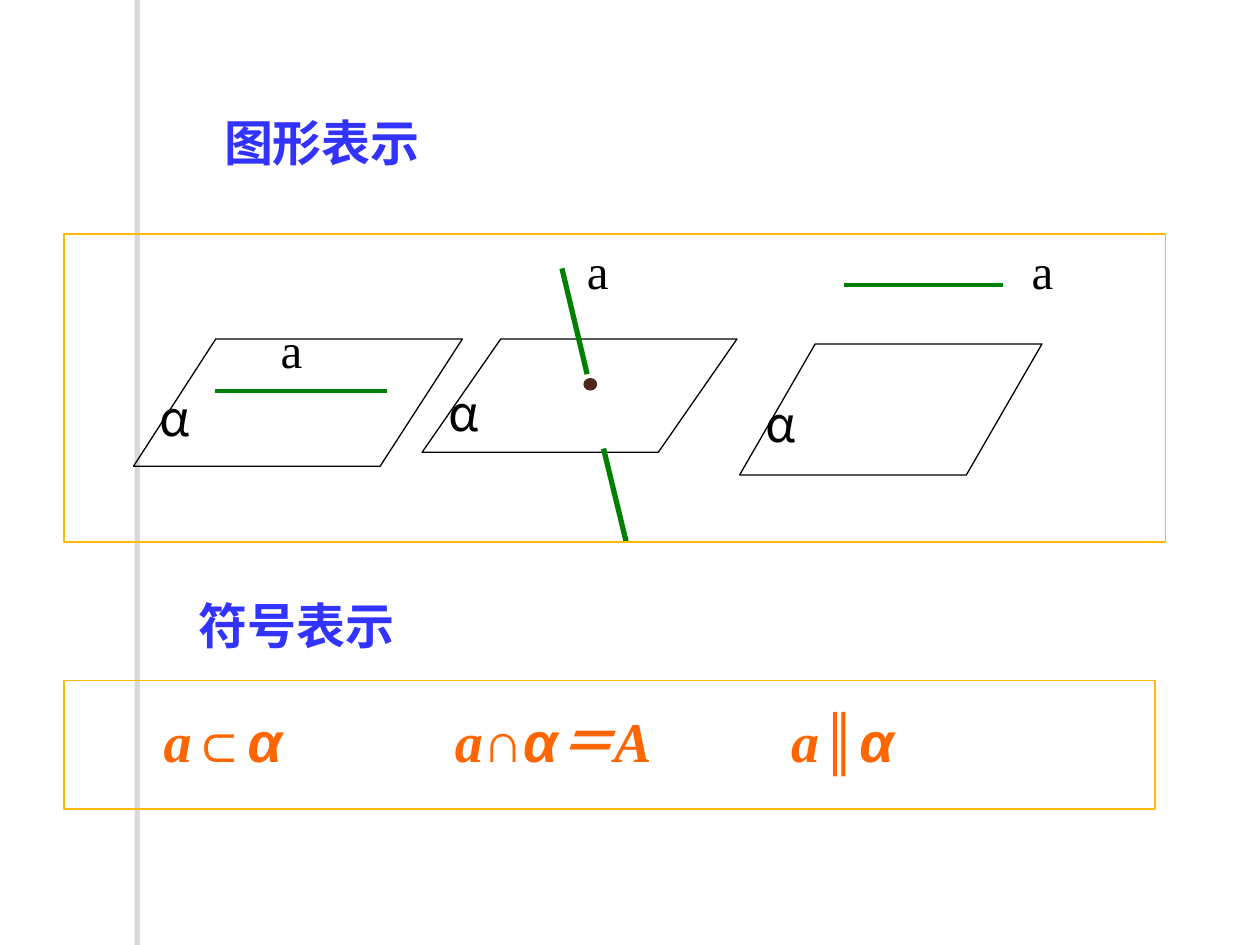
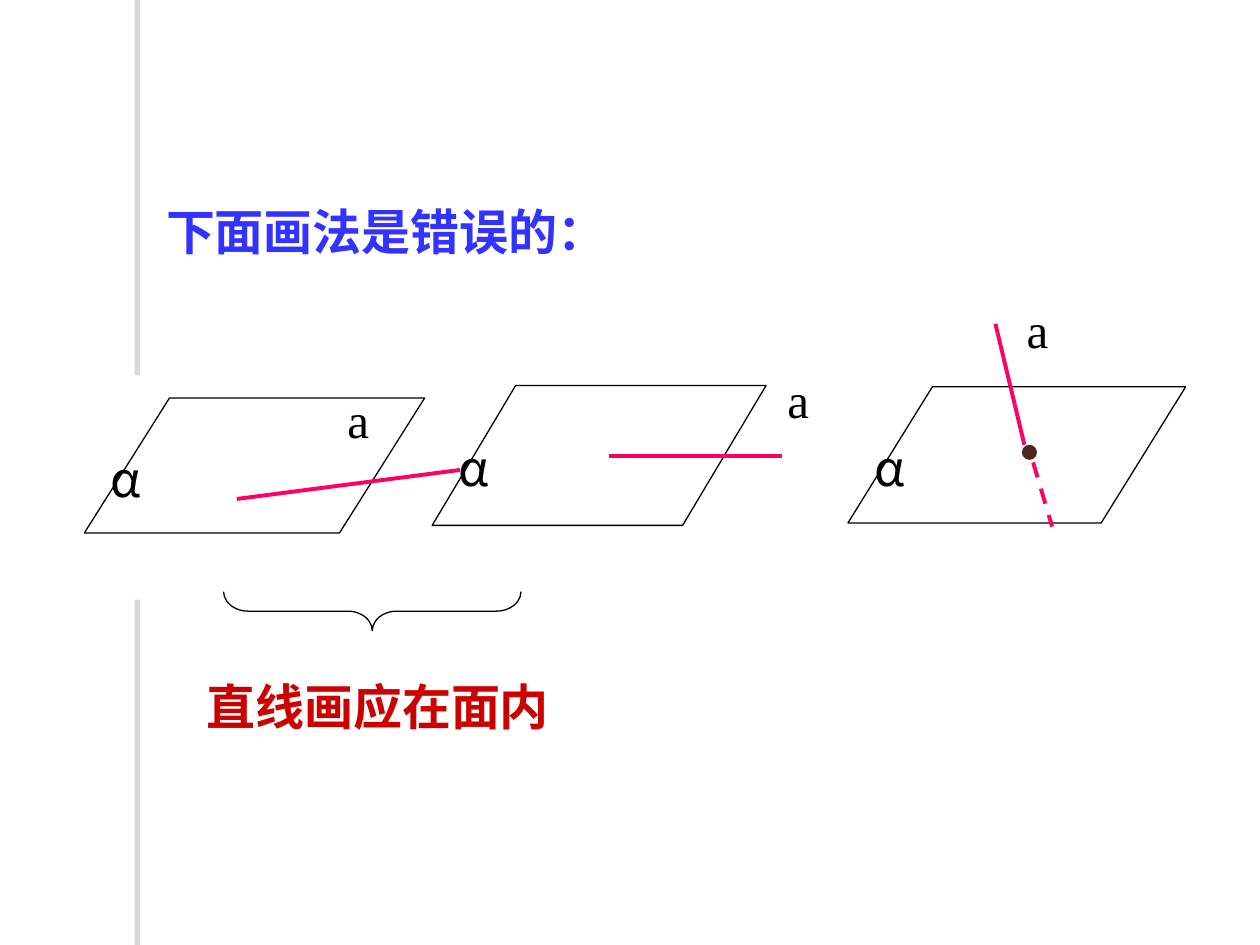
from pptx import Presentation
from pptx.dml.color import RGBColor
from pptx.enum.dml import MSO_LINE
from pptx.enum.shapes import MSO_CONNECTOR, MSO_SHAPE
from pptx.enum.text import PP_ALIGN
from pptx.oxml import parse_xml
from pptx.oxml.ns import nsdecls, qn
from pptx.util import Inches, Pt
from lxml import etree

BLACK, WHITE, BLUE, RED = "000000", "FFFFFF", "3333FF", "CC0000"
GREEN, PINK, BROWN, ORANGE, GOLD = "008000", "FF0066", "4F271C", "FF6600", "FEB80A"
SERIF, SANS, CHINESE = "Times New Roman", "Arial", "Noto Sans CJK SC"
HEADING = {"size": Pt(28), "bold": True}
LABEL = {"size": Pt(28)}
FORMULA = {"size": Pt(32), "bold": True, "italic": True}
BAND_SHADOW = (
    f'<a:effectLst {nsdecls("a")}><a:outerShdw dist="38100" dir="10800000" algn="tl" '
    'rotWithShape="0"><a:srgbClr val="706B5F"><a:alpha val="25000"/></a:srgbClr>'
    "</a:outerShdw></a:effectLst>"
)


def rgb(color):
    """Turn a hex string into a colour."""
    return RGBColor.from_string(color)


def add_shape(slide, kind, box, fill=None, line=None, width=0.75):
    """Add a preset shape with an optional fill and outline."""
    shape = slide.shapes.add_shape(kind, *map(Inches, box))
    shape.shadow.inherit = False
    if fill:
        shape.fill.solid()
        shape.fill.fore_color.rgb = rgb(fill)
    else:
        shape.fill.background()
    if line:
        shape.line.color.rgb = rgb(line)
        shape.line.width = Pt(width)
    else:
        shape.line.fill.background()
    return shape


def add_text(slide, box, runs, color, style, align=PP_ALIGN.LEFT):
    """Add one line of text made of (text, font name) runs."""
    frame = slide.shapes.add_textbox(*map(Inches, box)).text_frame
    frame.word_wrap = True
    paragraph = frame.paragraphs[0]
    paragraph.alignment = align
    for text, font_name in runs:
        run = paragraph.add_run()
        run.text = text
        for name, value in {**style, "name": font_name}.items():
            setattr(run.font, name, value)
        run.font.color.rgb = rgb(color)
        east_asian = etree.SubElement(run.font._element, qn("a:ea"))
        east_asian.set("typeface", CHINESE)


def add_heading(slide, box, text, color=BLUE, font_name=SANS):
    """Add a bold heading."""
    add_text(slide, box, [(text, font_name)], color, HEADING)


def add_line(slide, start, end, color, width=2.25, dashed=False):
    """Add a straight line between two points."""
    line = slide.shapes.add_connector(
        MSO_CONNECTOR.STRAIGHT, *map(Inches, (*start, *end)))
    line.line.color.rgb = rgb(color)
    line.line.width = Pt(width)
    if dashed:
        line.line.dash_style = MSO_LINE.DASH
    etree.SubElement(line._element.spPr, qn("a:effectLst"))


def add_plane(slide, left, top, width, height):
    """Add a plane slanted by a quarter of its width, labelled α."""
    plane = add_shape(slide, MSO_SHAPE.PARALLELOGRAM, (left, top, width, height), line=BLACK)
    plane.adjustments[0] = width / 4 / height
    label_box = (left + 0.11, top + 0.33 * height, 0.8, 0.57)
    add_text(slide, label_box, [("α", CHINESE)], BLACK, LABEL)


def add_line_label(slide, left, top):
    """Add the name of a line, a."""
    add_text(slide, (left, top, 0.6, 0.57), [("a", SERIF)], BLACK, LABEL)


def add_point(slide, left, top, width, height):
    """Add the dot where a line meets a plane."""
    add_shape(slide, MSO_SHAPE.OVAL, (left, top, width, height), fill=BROWN)


def new_slide(presentation):
    """Add a blank slide with the shared vertical band."""
    slide = presentation.slides.add_slide(presentation.slide_layouts[6])
    band = add_shape(slide, MSO_SHAPE.RECTANGLE, (1.11, 0, 0.08, 7.5), fill=WHITE)
    properties = band._element.spPr
    properties.replace(properties.find(qn("a:effectLst")), parse_xml(BAND_SHADOW))
    return slide


def build_notation_slide(presentation):
    """Show the three line and plane positions with their symbols."""
    slide = new_slide(presentation)
    add_heading(slide, (1.68, 0.84, 2.05, 0.57), "图形表示", font_name=SERIF)
    for plane in [(1.06, 2.69, 2.61, 1.01), (3.35, 2.69, 2.5, 0.9), (5.87, 2.73, 2.4, 1.04)]:
        add_plane(slide, *plane)
    for start, end, width in [
        ((1.71, 3.1), (3.07, 3.1), 2.25),
        ((4.66, 2.97), (4.46, 2.13), 3),
        ((4.79, 3.56), (4.97, 4.3), 3),
        ((6.7, 2.26), (7.96, 2.26), 2.25),
    ]:
        add_line(slide, start, end, GREEN, width)
    for position in [(2.13, 2.49), (4.56, 1.86), (8.09, 1.86)]:
        add_line_label(slide, *position)
    add_point(slide, 4.63, 3, 0.11, 0.1)

    add_heading(slide, (1.48, 4.68, 2.05, 0.57), "符号表示", font_name=SERIF)
    for left, width, align, runs in [
        (1.06, 1.42, PP_ALIGN.CENTER, [("a", SERIF), ("⊂α", SANS)]),
        (3.35, 2.08, PP_ALIGN.CENTER, [("a∩", SERIF), ("α", SANS), ("＝A", SERIF)]),
        (6.18, 1.5, PP_ALIGN.LEFT, [("a∥", SERIF), ("α", SANS)]),
    ]:
        add_text(slide, (left, 5.56, width, 0.64), runs, ORANGE, FORMULA, align)
    for frame_box in [(0.51, 5.4, 8.66, 1.02), (0.51, 1.86, 8.74, 2.44)]:
        add_shape(slide, MSO_SHAPE.RECTANGLE, frame_box, line=GOLD, width=1)


def build_mistakes_slide(presentation):
    """Show the wrong ways to draw a line and a plane."""
    slide = new_slide(presentation)
    add_shape(slide, MSO_SHAPE.RECTANGLE, (0.64, 2.98, 2.38, 1.78), fill=WHITE)
    add_heading(slide, (1.22, 1.55, 4.54, 0.57), "下面画法是错误的：")
    for plane in [(0.67, 3.16, 2.7, 1.07), (3.43, 3.06, 2.65, 1.11), (6.73, 3.07, 2.68, 1.08)]:
        add_plane(slide, *plane)
    for start, end, dashed in [
        ((1.88, 3.96), (3.65, 3.73), False),
        ((4.83, 3.62), (6.21, 3.62), False),
        ((7.9, 2.57), (8.13, 3.53), False),
        ((8.2, 3.67), (8.35, 4.18), True),
    ]:
        add_line(slide, start, end, PINK, dashed=dashed)
    for position in [(2.66, 3.04), (6.15, 2.88), (8.05, 2.33)]:
        add_line_label(slide, *position)
    add_point(slide, 8.11, 3.53, 0.12, 0.12)

    brace = add_shape(slide, MSO_SHAPE.LEFT_BRACE, (2.8, 3.67, 0.31, 2.36), line=BLACK)
    brace.rotation = 270
    brace.adjustments[0] = 0.63
    add_heading(slide, (1.54, 5.32, 3.1, 0.57), "直线画应在面内", RED)


def main():
    """Build and save the presentation."""
    presentation = Presentation()
    presentation.slide_width = Inches(10)
    presentation.slide_height = Inches(7.5)
    build_notation_slide(presentation)
    build_mistakes_slide(presentation)
    presentation.save("out.pptx")


if __name__ == "__main__":
    main()
